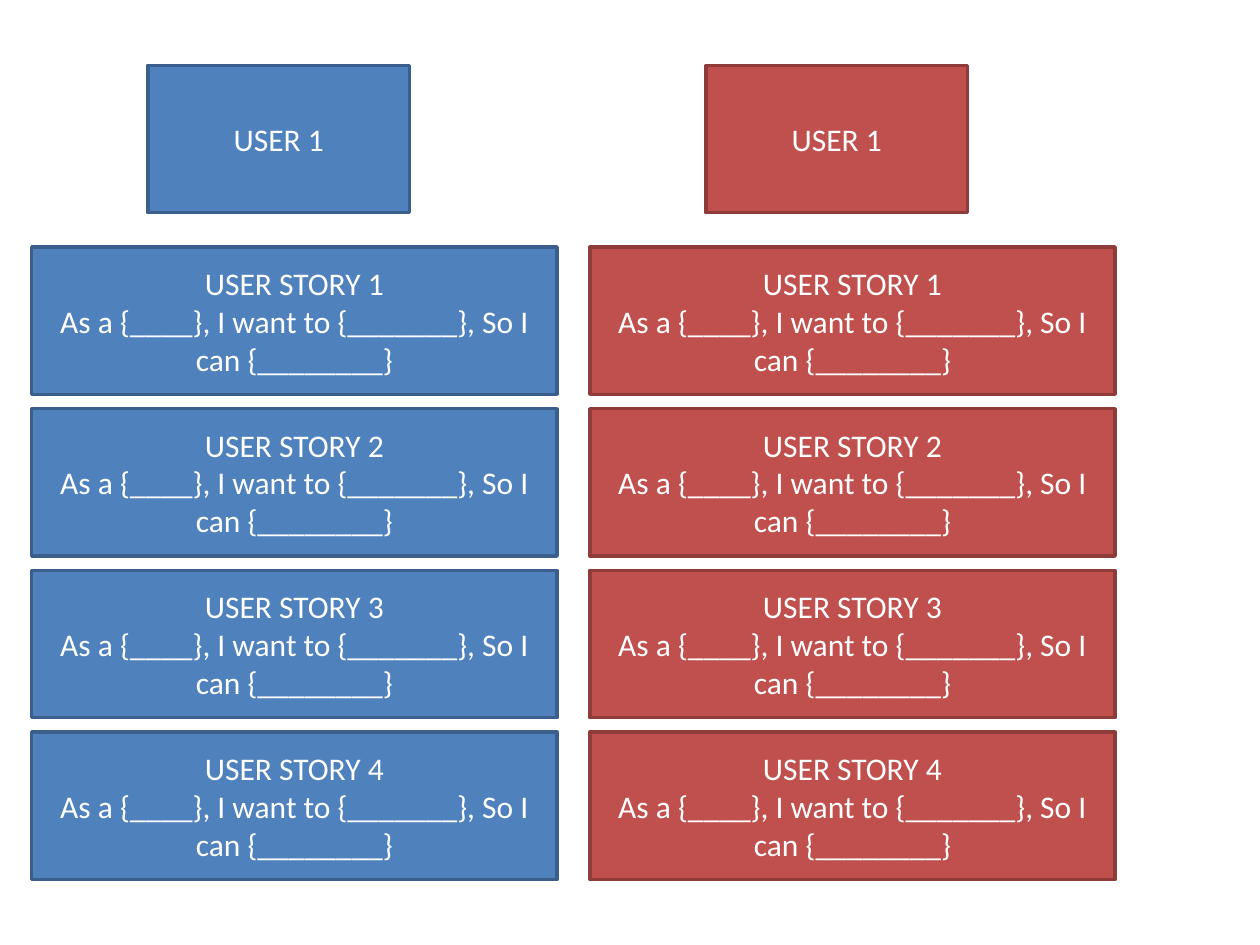
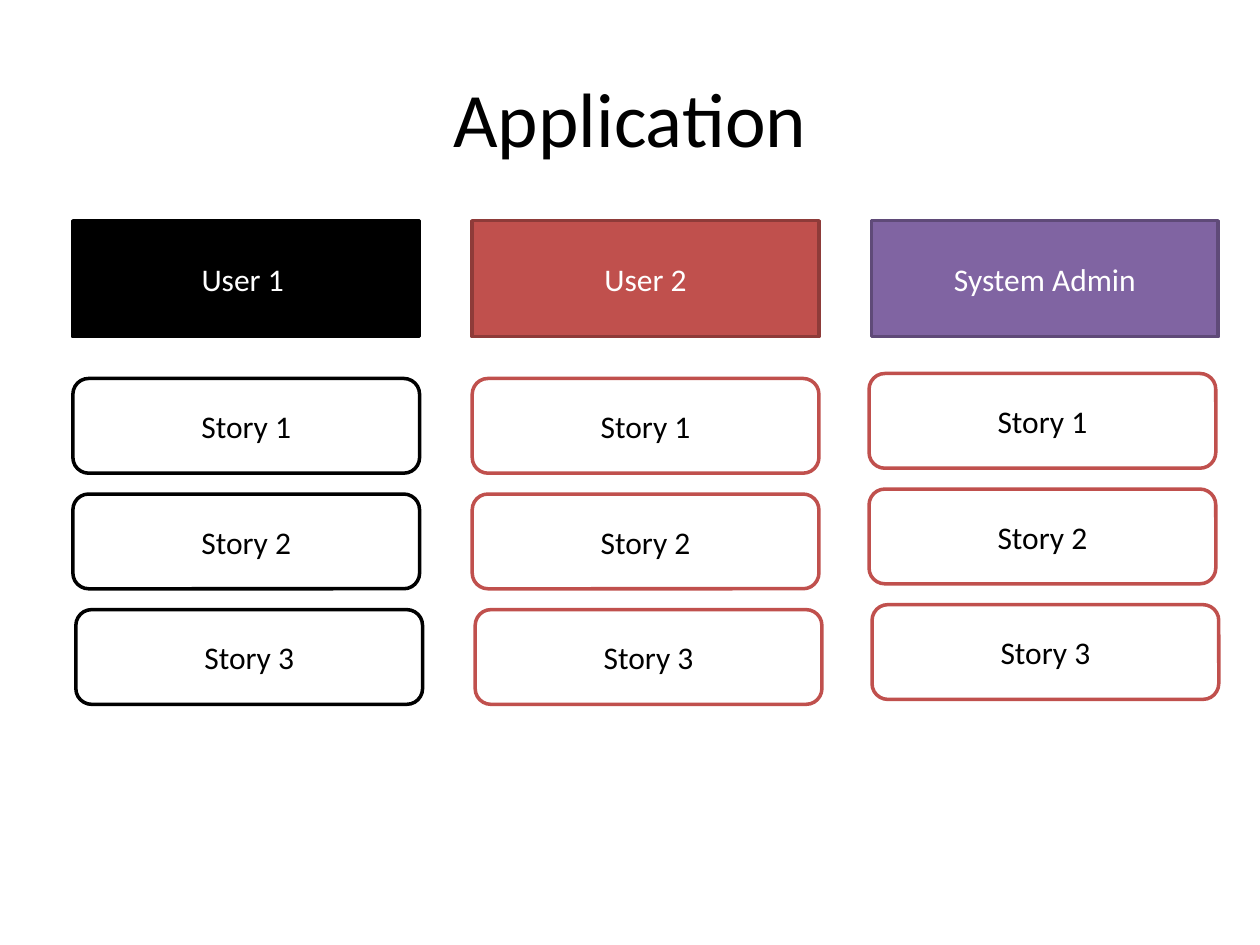
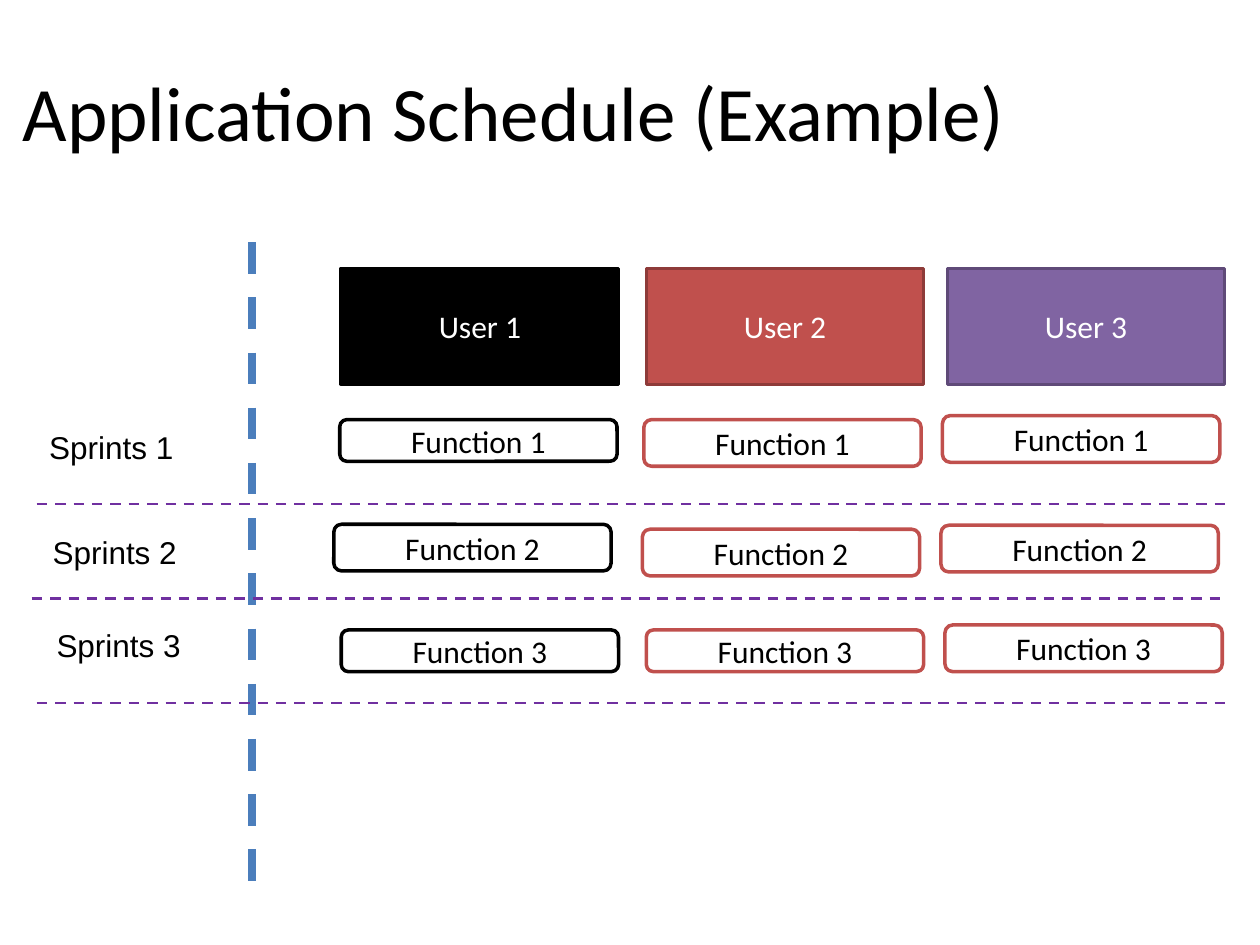
from pptx import Presentation
from pptx.dml.color import RGBColor
from pptx.enum.dml import MSO_LINE as Dash
from pptx.enum.shapes import MSO_CONNECTOR as Link, MSO_SHAPE as Form
from pptx.enum.text import MSO_ANCHOR as Anchor, MSO_AUTO_SIZE as Fit, PP_ALIGN as Align
from pptx.oxml.ns import qn
from pptx.util import Cm, Pt
from lxml import etree

BLACK, WHITE, RED = "000000", "FFFFFF", "C0504D"
BLUE_BOX = ("4F81BD", "3A5F8C", WHITE)
BLACK_BOX = (BLACK, BLACK, WHITE)
RED_BOX = (RED, "8E3B39", WHITE)
VIOLET_BOX = ("8064A2", "5F4A78", WHITE)
BLACK_CARD = (WHITE, BLACK, BLACK)
RED_CARD = (WHITE, RED, BLACK)

BODY = {"name": "Calibri", "size": Pt(18)}
LABEL = {"name": "Arial", "size": Pt(18)}
TITLE = {"name": "Calibri", "size": Pt(44)}
EDGE = {"width": Pt(2)}
AXIS = {"width": Pt(4.5), "dash_style": Dash.DASH}
RULE = {"width": Pt(1.5), "dash_style": Dash.DASH}

STORY = "As a {____}, I want to {_______}, So I can {________}"


def style(item, form):
    for key, value in form.items():
        setattr(item, key, value)


def paint(target, shade):
    if hasattr(target, "solid"):
        target.solid()
        target = target.fore_color
    else:
        target = target.color
    target.rgb = RGBColor.from_string(shade)


def write(frame, text, form, shade, align):
    frame.text = text
    for para in frame.paragraphs:
        para.alignment = align
        for run in para.runs:
            style(run.font, form)
            paint(run.font, shade)


def add_box(slide, form, place, text, shades):
    fill, edge, ink = shades
    box = slide.shapes.add_shape(form, *map(Cm, place))
    box.shadow.inherit = False
    paint(box.fill, fill)
    paint(box.line, edge)
    style(box.line, EDGE)
    box.text_frame.vertical_anchor = Anchor.MIDDLE
    write(box.text_frame, text, BODY, ink, Align.CENTER)


def add_line(slide, ends, shade, form):
    line = slide.shapes.add_connector(Link.STRAIGHT, *map(Cm, ends))
    paint(line.line, shade)
    style(line.line, form)
    etree.SubElement(line.element.spPr, qn("a:effectLst"))


def add_title(slide, place, text, align):
    title = slide.shapes.title
    style(title, dict(zip(("left", "top", "width", "height"), map(Cm, place))))
    title.text_frame.vertical_anchor = Anchor.MIDDLE
    write(title.text_frame, text, TITLE, BLACK, align)


def add_label(slide, place, text):
    frame = slide.shapes.add_textbox(*map(Cm, place)).text_frame
    style(frame, {"word_wrap": False, "auto_size": Fit.SHAPE_TO_FIT_TEXT})
    write(frame, text, LABEL, BLACK, Align.LEFT)


def tale_column(slide, left, top, shift, shades):
    add_box(slide, Form.RECTANGLE, (left + shift, top, 5.28, 2.97), "USER 1", shades)
    for row in range(4):
        place = (left, top + 3.66 + row * 3.26, 10.59, 2.97)
        add_box(slide, Form.RECTANGLE, place, f"USER STORY {row + 1}\n{STORY}", shades)


def card_column(slide, box, name, shades, word, cards, tint):
    left, top, width = box
    add_box(slide, Form.RECTANGLE, (left, top, width, 2.34), name, shades)
    for count, (shift, drop, height) in enumerate(cards, 1):
        place = (left + shift, top + drop, width, height)
        add_box(slide, Form.ROUNDED_RECTANGLE, place, f"{word} {count}", tint)


def user_slide(deck):
    slide = deck.slides.add_slide(deck.slide_layouts[6])
    tale_column(slide, 0.64, 1.32, 2.34, BLUE_BOX)
    tale_column(slide, 11.89, 1.32, 2.34, RED_BOX)


def story_slide(deck):
    slide = deck.slides.add_slide(deck.slide_layouts[5])
    add_title(slide, (1.27, 0.76, 22.86, 3.18), "Application", Align.CENTER)
    users = (
        ("User 1 ", BLACK_BOX, BLACK_CARD, 0, 0),
        ("User 2", RED_BOX, RED_CARD, 0, 0),
        ("System Admin", VIOLET_BOX, RED_CARD, -0.05, -0.1),
    )
    for col, (name, shades, tint, shift, lift) in enumerate(users):
        cards = [(shift + nudge, 3.18 + lift + row * 2.33, 1.91)
                 for row, nudge in enumerate((0, 0, 0.06))]
        box = (1.47 + col * 8.05, 4.45, 6.99)
        card_column(slide, box, name, shades, "Story", cards, tint)


def sprint_slide(deck):
    slide = deck.slides.add_slide(deck.slide_layouts[5])
    add_title(slide, (0.2, 0.64, 22.86, 3.18), "Application Schedule (Example)", Align.LEFT)
    users = (
        (6.88, BLACK_BOX, BLACK_CARD,
         ((-0.03, 3.05, 0.84), (-0.15, 5.16, 0.94), (0, 7.29, 0.84))),
        (13.03, RED_BOX, RED_CARD,
         ((-0.05, 3.05, 0.94), (-0.08, 5.26, 0.94), (0, 7.29, 0.84))),
        (19.1, VIOLET_BOX, RED_CARD,
         ((-0.1, 2.97, 0.94), (-0.13, 5.18, 0.94), (-0.05, 7.19, 0.94))),
    )
    for count, (left, shades, tint, cards) in enumerate(users, 1):
        box = (left, 5.41, 5.59)
        card_column(slide, box, f"User {count}", shades, "Function", cards, tint)
    add_line(slide, (5.08, 4.88, 5.08, 17.98), "4B7EBC", AXIS)
    sprints = ((0.74, 8.51, 0.74, 10.16), (0.81, 10.62, 0.64, 12.07), (0.89, 12.5, 0.74, 14.17))
    for count, (left, top, start, floor) in enumerate(sprints, 1):
        add_label(slide, (left, top, 3.05, 1.02), f"Sprints {count}")
        add_line(slide, (start, floor, start + 24.03, floor), "7030A0", RULE)


def main():
    deck = Presentation()
    style(deck, {"slide_width": Cm(25.4), "slide_height": Cm(19.05)})
    for build in (user_slide, story_slide, sprint_slide):
        build(deck)
    deck.save("out.pptx")


if __name__ == "__main__":
    main()
